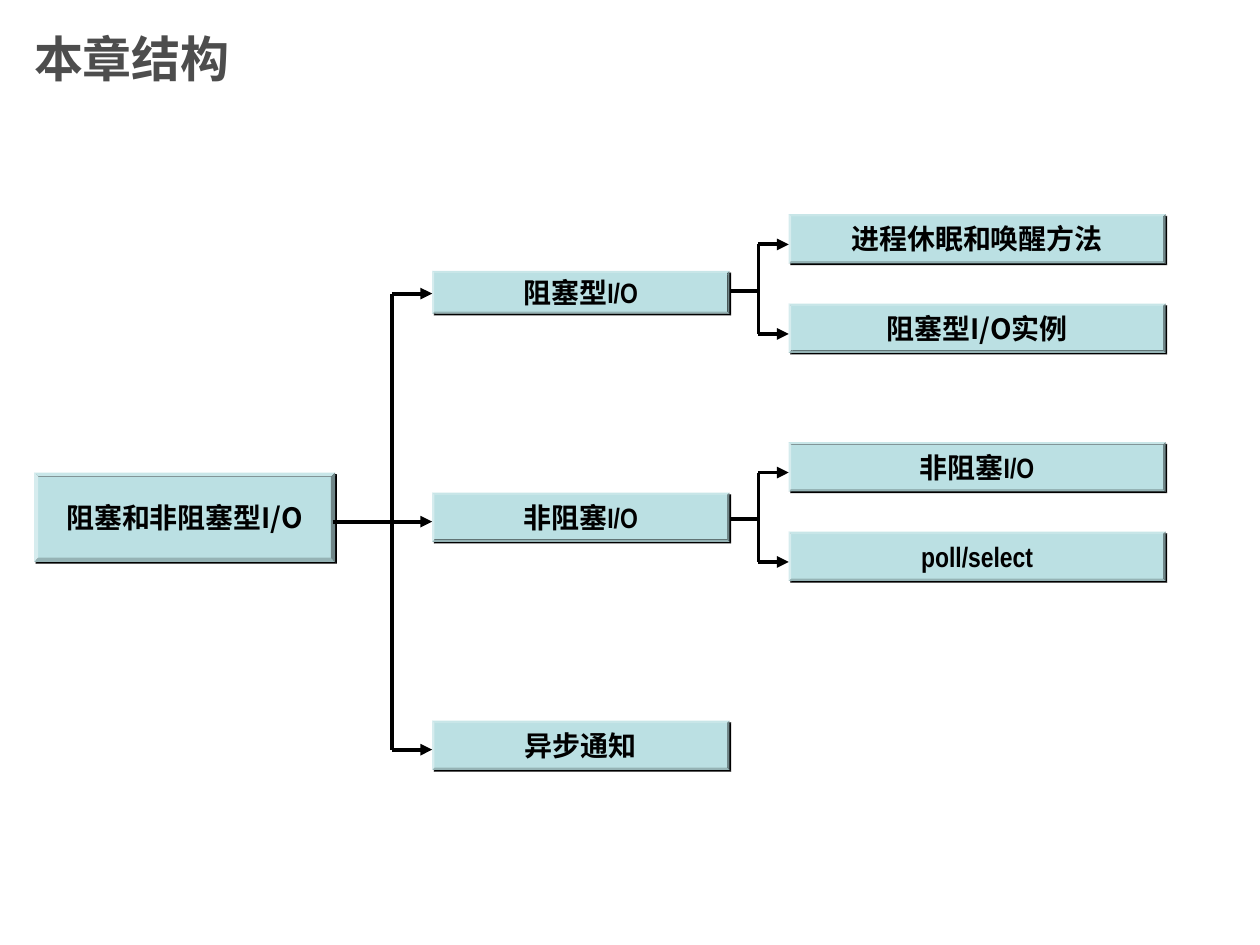
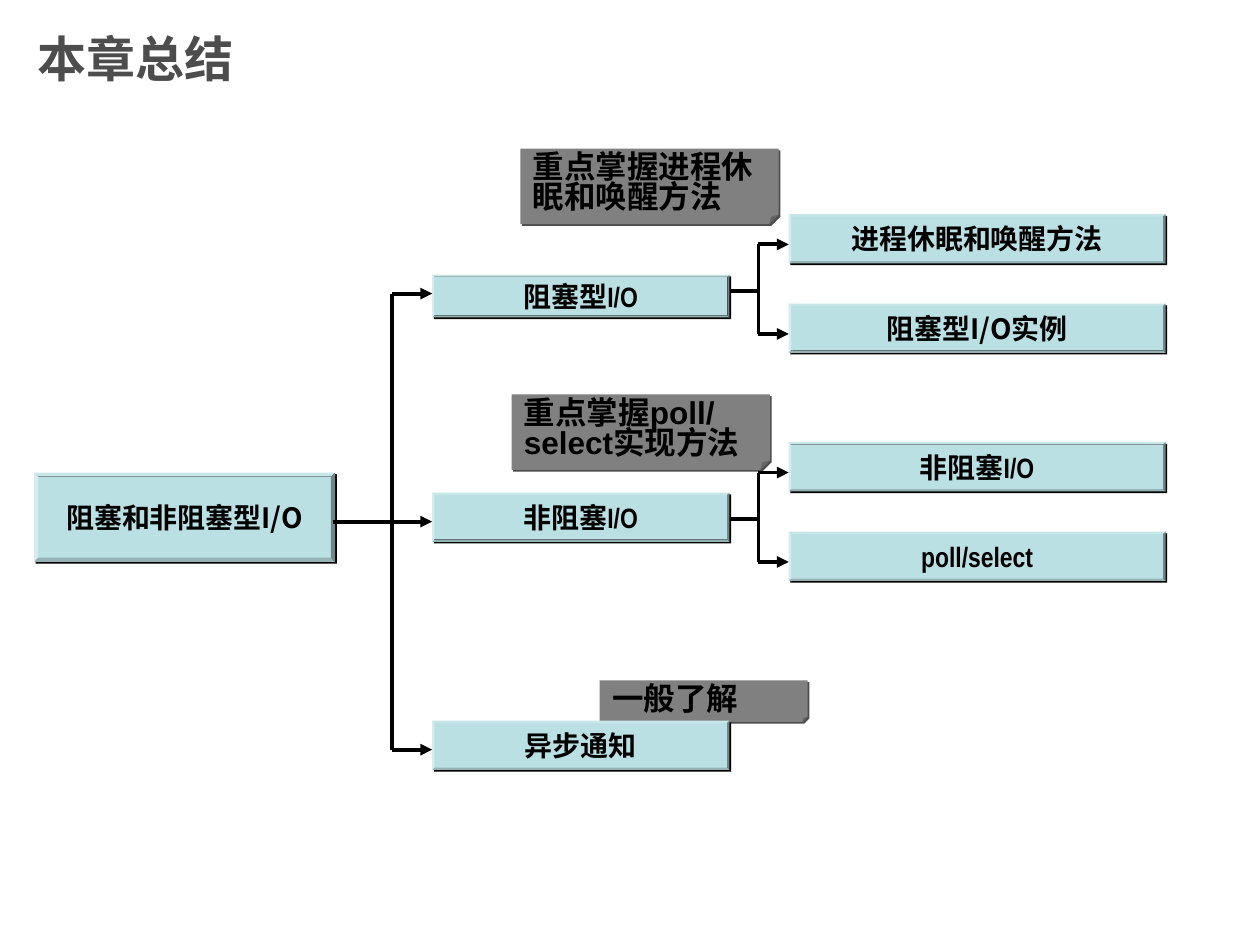
from lxml.etree import SubElement
from pptx import Presentation
from pptx.dml.color import RGBColor
from pptx.enum.shapes import MSO_CONNECTOR, MSO_SHAPE
from pptx.enum.text import MSO_ANCHOR, MSO_AUTO_SIZE, PP_ALIGN
from pptx.oxml.ns import qn
from pptx.util import Inches, Pt

COLORS = {"title": "4D4D4D", "ink": "000000", "topic": "BBE0E3",
          "note": "808080", "note_shadow": "4D4D4D"}
CJK = "Noto Sans CJK SC"
NARROW = "Arial Narrow"

TOPIC_LEFT, TOPIC_WIDTH, TOPIC_HEIGHT = 3.43, 2.36, 0.39
DETAIL_LEFT, DETAIL_WIDTH, DETAIL_STEP = 6.26, 2.99, 0.71
BRANCH_STEP = 1.81
BRANCH_TOP = 1.7
TRUNK_Y = 4.14


def rgb(name):
    return RGBColor.from_string(COLORS[name])


def format_text(frame, size, font, color="ink", align=PP_ALIGN.LEFT):
    frame.vertical_anchor = MSO_ANCHOR.MIDDLE
    for paragraph in frame.paragraphs:
        paragraph.alignment = align
        for run in paragraph.runs:
            run.font.size = Pt(size)
            run.font.bold = True
            run.font.name = font
            run.font.color.rgb = rgb(color)
            SubElement(run.font._element, qn("a:ea"), typeface=CJK)


def add_hard_shadow(shape, color):
    """Give the shape an unblurred shadow to the lower right."""
    shape.shadow.inherit = False
    effects = shape._element.spPr.find(qn("a:effectLst"))
    shadow = SubElement(effects, qn("a:outerShdw"), blurRad="0",
                        dist=str(Pt(1.4)), dir="2700000", algn="ctr", rotWithShape="0")
    SubElement(shadow, qn("a:srgbClr"), val=COLORS[color])


def set_corner(shape, corner):
    """Write the adjust value, which python-pptx does not list for every preset."""
    guides = shape._element.spPr.find(qn("a:prstGeom")).get_or_add_avLst()
    for guide in list(guides):
        guides.remove(guide)
    SubElement(guides, qn("a:gd"), name="adj", fmla=f"val {round(corner * 100000)}")


def add_panel(slide, kind, box, fill, shadow, corner, text):
    panel = slide.shapes.add_shape(kind, *map(Inches, box))
    set_corner(panel, corner)
    panel.fill.solid()
    panel.fill.fore_color.rgb = rgb(fill)
    panel.line.fill.background()
    add_hard_shadow(panel, shadow)
    panel.text_frame.text = text
    return panel.text_frame


def add_topic(slide, box, text, font=NARROW):
    frame = add_panel(slide, MSO_SHAPE.BEVEL, box, "topic", "ink", 0.047, text)
    frame.word_wrap = False
    format_text(frame, 16, font, align=PP_ALIGN.CENTER)


def add_note(slide, box, text):
    frame = add_panel(slide, MSO_SHAPE.FOLDED_CORNER, box, "note", "note_shadow", 0.125, text)
    frame.word_wrap = True
    frame.auto_size = MSO_AUTO_SIZE.SHAPE_TO_FIT_TEXT
    frame.margin_bottom = 0
    format_text(frame, 18, "Arial")
    frame.paragraphs[0].line_spacing = 0.8
    frame.paragraphs[0].space_before = Pt(2.2)


def add_line(slide, start, end, arrow=False):
    line = slide.shapes.add_connector(MSO_CONNECTOR.STRAIGHT, *map(Inches, start + end))
    line.line.color.rgb = rgb("ink")
    line.line.width = Pt(2.25)
    if arrow:
        SubElement(line._element.spPr.find(qn("a:ln")), qn("a:tailEnd"), type="triangle")
    SubElement(line._element.spPr, qn("a:effectLst"))


def add_fork(slide, left, spine, right, stem_y, tip_ys):
    """Draw a stem from left to the spine, and an arrow from it to each tip."""
    add_line(slide, (left, stem_y), (spine, stem_y))
    add_line(slide, (spine, tip_ys[0]), (spine, tip_ys[-1]))
    for tip_y in tip_ys:
        add_line(slide, (spine, tip_y), (right, tip_y), arrow=True)


def add_details(slide, top, details):
    """Draw the detail boxes of one topic and the fork that leads to them."""
    tops = [top + DETAIL_STEP * i for i in range(len(details))]
    for detail_top, (text, font) in zip(tops, details):
        add_topic(slide, (DETAIL_LEFT, detail_top, DETAIL_WIDTH, TOPIC_HEIGHT), text, font)
    add_fork(slide, TOPIC_LEFT + TOPIC_WIDTH, 6.02, DETAIL_LEFT, top + 0.61,
             [detail_top + 0.24 for detail_top in tops])


def add_chapter_tree(slide, blocking_top):
    add_topic(slide, (0.27, 3.75, 2.39, 0.71), "阻塞和非阻塞型I/O", CJK)
    for text, top, height in [("阻塞型I/O", blocking_top, 0.34),
                              ("非阻塞I/O", 3.91, TOPIC_HEIGHT),
                              ("异步通知", 5.72, TOPIC_HEIGHT)]:
        add_topic(slide, (TOPIC_LEFT, top, TOPIC_WIDTH, height), text)
    add_fork(slide, 2.64, 3.11, TOPIC_LEFT, TRUNK_Y,
             [TRUNK_Y + BRANCH_STEP * i for i in (-1, 0, 1)])
    add_details(slide, BRANCH_TOP,
                [("进程休眠和唤醒方法", "Arial"), ("阻塞型I/O实例", CJK)])
    add_details(slide, BRANCH_TOP + BRANCH_STEP,
                [("非阻塞I/O", NARROW), ("poll/select", NARROW)])


def add_chapter_slide(deck, heading, heading_left, blocking_top, notes=()):
    slide = deck.slides.add_slide(deck.slide_layouts[5])
    title = slide.shapes.title
    title.left, title.top = Inches(heading_left), Inches(0)
    title.width, title.height = Inches(7.5), Inches(0.92)
    title.text_frame.text = heading
    format_text(title.text_frame, 28, "Arial", "title")
    for box, text in notes:
        add_note(slide, box, text)
    add_chapter_tree(slide, blocking_top)


def main():
    deck = Presentation()
    deck.slide_width, deck.slide_height = Inches(10), Inches(7.5)
    add_chapter_slide(deck, "本章结构", 0.17, 2.15)
    add_chapter_slide(deck, "本章总结", 0.2, 2.18, [
        ((4.13, 1.18, 2.05, 0.6), "重点掌握进程休眠和唤醒方法"),
        ((4.06, 3.13, 2.05, 0.6), "重点掌握poll/select实现方法"),
        ((4.76, 5.4, 1.65, 0.33), "一般了解"),
    ])
    deck.save("out.pptx")


if __name__ == "__main__":
    main()
